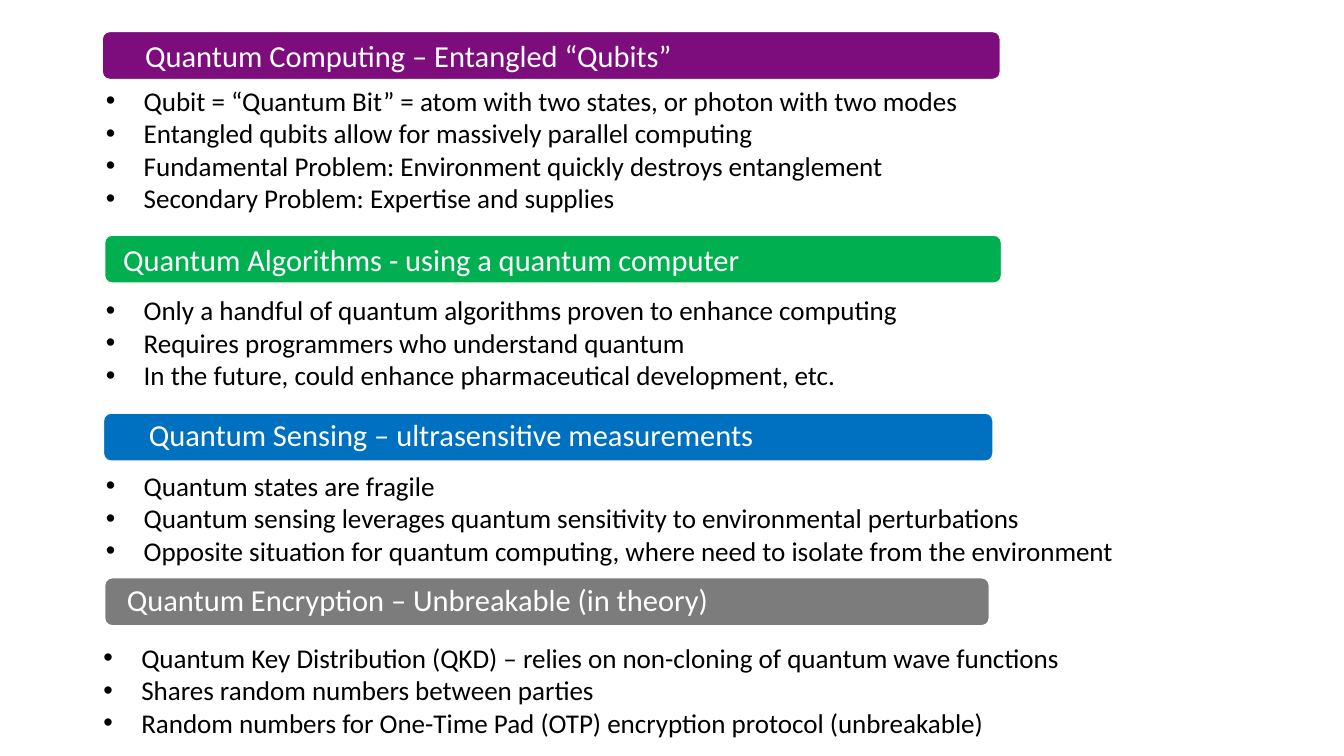
import pptx
import pptx.util
import pptx.dml.color
import pptx.enum.shapes
import pptx.enum.text
import pptx.oxml
import pptx.oxml.ns
from pptx.util import Inches

BULLET_INDENT = 0.31

# banner and title: left, top, width, height; bullets: left, top, width, height
TOPICS = [
    {
        "title": "Quantum Computing – Entangled “Qubits”",
        "color": "7D0D7C",
        "banner": (0.83, 0.25, 7.38, 0.41),
        "title_box": (1.04, 0.29, 7.32, 0.37),
        "line_spacing": 0.9,
        "points_box": (0.77, 0.64, 9.22, 1.16),
        "points": [
            "Qubit = “Quantum Bit” = atom with two states, or photon with two modes",
            "Entangled qubits allow for massively parallel computing",
            "Fundamental Problem: Environment quickly destroys entanglement",
            "Secondary Problem: Expertise and supplies",
        ],
    },
    {
        "title": "Quantum Algorithms - using a quantum computer",
        "color": "00B050",
        "banner": (0.85, 1.92, 7.37, 0.41),
        "title_box": (0.86, 1.94, 7.37, 0.37),
        "line_spacing": 1.0,
        "points_box": (0.77, 2.36, 8.72, 0.9),
        "points": [
            "Only a handful of quantum algorithms proven to enhance computing",
            "Requires programmers who understand quantum",
            "In the future, could enhance pharmaceutical development, etc.",
        ],
    },
    {
        "title": "Quantum Sensing – ultrasensitive measurements",
        "color": "0070C0",
        "banner": (0.84, 3.38, 7.31, 0.41),
        "title_box": (1.07, 3.38, 7.31, 0.37),
        "line_spacing": 1.0,
        "points_box": (0.77, 3.8, 10.25, 0.9),
        "points": [
            "Quantum states are fragile",
            "Quantum sensing leverages quantum sensitivity to environmental perturbations",
            "Opposite situation for quantum computing, where need to isolate from the environment",
        ],
    },
    {
        "title": "Quantum Encryption – Unbreakable (in theory)",
        "color": "7C7C7C",
        "banner": (0.85, 4.73, 7.27, 0.41),
        "title_box": (0.89, 4.73, 7.27, 0.37),
        "line_spacing": 1.0,
        "points_box": (0.75, 5.21, 10.25, 0.9),
        "points": [
            "Quantum Key Distribution (QKD) – relies on non-cloning of quantum wave functions",
            "Shares random numbers between parties",
            "Random numbers for One-Time Pad (OTP) encryption protocol (unbreakable)",
        ],
    },
]


def rgb(color):
    return pptx.dml.color.RGBColor.from_string(color)


def set_attributes(target, values):
    for name, value in values.items():
        setattr(target, name, value)


def set_font(paragraph, size, color):
    set_attributes(paragraph.font, {"name": "Calibri", "size": pptx.util.Pt(size)})
    paragraph.font.color.rgb = rgb(color)


def add_text_frame(shapes, box, side_margin, edge_margin, anchor):
    frame = shapes.add_textbox(*map(Inches, box)).text_frame
    set_attributes(frame, {
        "word_wrap": True,
        "vertical_anchor": anchor,
        "margin_left": Inches(side_margin),
        "margin_right": Inches(side_margin),
        "margin_top": Inches(edge_margin),
        "margin_bottom": Inches(edge_margin),
    })
    return frame


def add_banner(shapes, box, color):
    banner = shapes.add_shape(
        pptx.enum.shapes.MSO_SHAPE.ROUNDED_RECTANGLE, *map(Inches, box))
    banner.shadow.inherit = False
    banner.fill.solid()
    banner.fill.fore_color.rgb = rgb(color)
    banner.line.color.rgb = rgb("FFFFFF")
    banner.line.width = pptx.util.Pt(2)


def add_title(shapes, box, title, line_spacing):
    frame = add_text_frame(shapes, box, 0.15, 0, pptx.enum.text.MSO_ANCHOR.MIDDLE)
    paragraph = frame.paragraphs[0]
    paragraph.text = title
    paragraph.line_spacing = line_spacing
    set_font(paragraph, 18, "FFFFFF")


def add_bullet(paragraph):
    """Give the paragraph a hanging black round bullet."""
    properties = paragraph._p.get_or_add_pPr()
    properties.set("marL", str(Inches(BULLET_INDENT)))
    properties.set("indent", str(-Inches(BULLET_INDENT)))
    namespace = pptx.oxml.ns.nsdecls("a")
    for element in (
        f'<a:buClr {namespace}><a:srgbClr val="000000"/></a:buClr>',
        f'<a:buFont {namespace} typeface="Arial"/>',
        f'<a:buChar {namespace} char="•"/>',
    ):
        properties.append(pptx.oxml.parse_xml(element))


def add_points(shapes, box, points):
    frame = add_text_frame(shapes, box, 0.1, 0.05, pptx.enum.text.MSO_ANCHOR.TOP)
    frame.auto_size = pptx.enum.text.MSO_AUTO_SIZE.SHAPE_TO_FIT_TEXT
    for index, point in enumerate(points):
        paragraph = frame.add_paragraph() if index else frame.paragraphs[0]
        paragraph.text = point
        add_bullet(paragraph)
        set_font(paragraph, 16, "000000")


def main():
    presentation = pptx.Presentation()
    presentation.slide_width = Inches(11.02)
    presentation.slide_height = Inches(6.2)
    slide = presentation.slides.add_slide(presentation.slide_layouts[6])
    for topic in TOPICS:
        heading = slide.shapes.add_group_shape().shapes
        add_banner(heading, topic["banner"], topic["color"])
        add_title(heading, topic["title_box"], topic["title"], topic["line_spacing"])
    for topic in TOPICS:
        add_points(slide.shapes, topic["points_box"], topic["points"])
    presentation.save("out.pptx")


if __name__ == "__main__":
    main()
